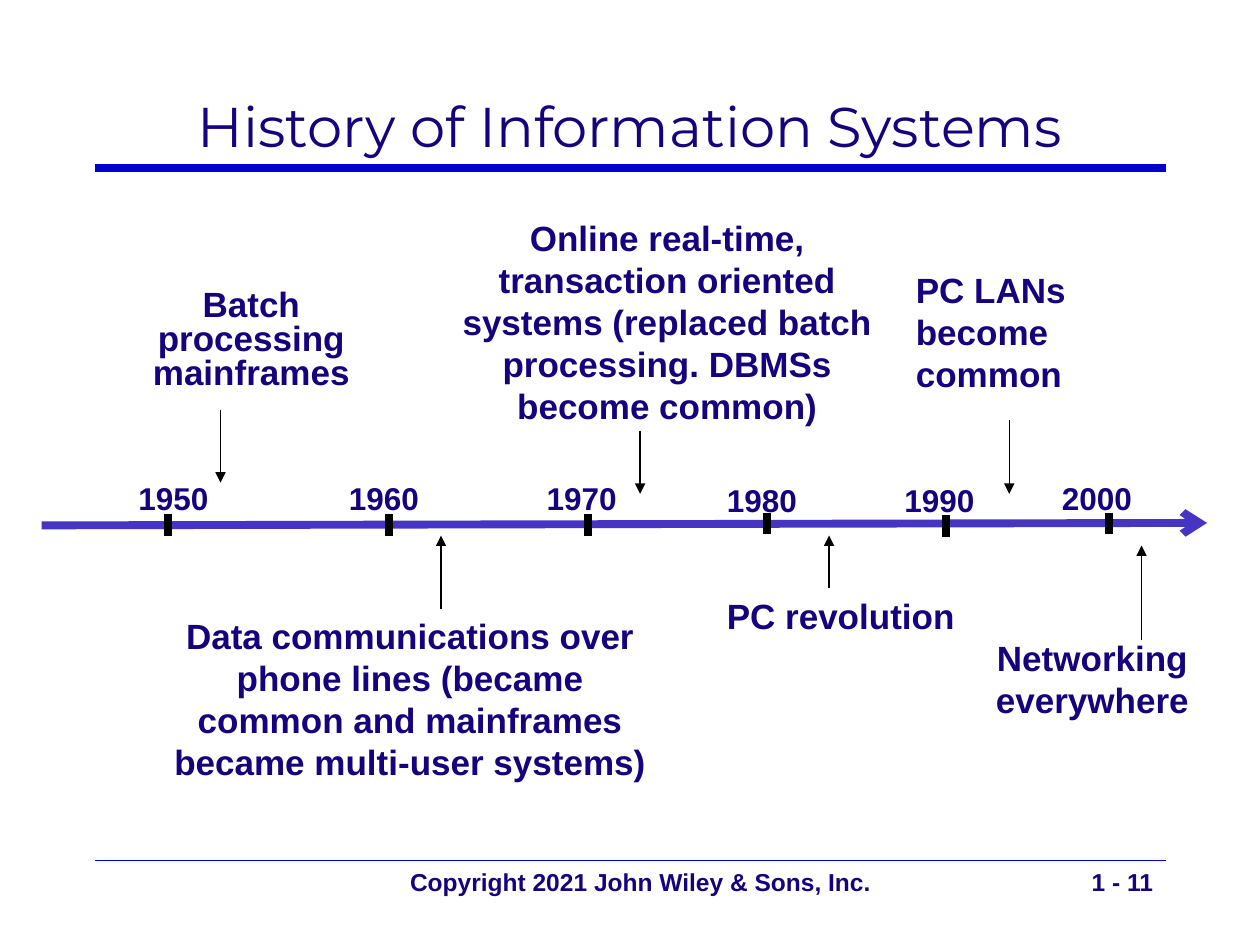
from lxml import etree
from pptx import Presentation
from pptx.dml.color import RGBColor
from pptx.enum.shapes import MSO_CONNECTOR
from pptx.enum.text import MSO_ANCHOR, PP_ALIGN
from pptx.oxml.ns import qn
from pptx.util import Pt

SCALE = 9144  # EMU per px, at 100 px to the inch
COLORS = {"text": "16027C", "rule": "0000CC", "axis": "4635C3", "mark": "000000"}

# Year, label left, label top, tick x, tick top
YEARS = [
    ("1950", 100, 375, 133, 408),
    ("1960", 267, 375, 309, 408),
    ("1970", 424, 375, 467, 408),
    ("1980", 567, 377, 609, 407),
    ("1990", 708, 377, 751, 409),
    ("2000", 833, 375, 880, 407),
]

# Text, box, arrow x, arrow start, arrow end, format
EVENTS = [
    ("Batch processing mainframes", (83, 226, 233, 90), 175, 325, 383,
     {"line_spacing": 0.8}),
    ("Data communications over phone lines (became common and mainframes "
     "became multi-user systems)", (117, 483, 417, 143), 350, 483, 425, {}),
    ("Online real-time, transaction oriented systems (replaced batch "
     "processing. DBMSs become common)", (342, 167, 375, 177), 508, 342, 392, {}),
    ("PC revolution", (567, 467, 217, 43), 658, 467, 425,
     {"align": PP_ALIGN.LEFT}),
    ("PC LANs become common", (717, 208, 192, 110), 801, 333, 392,
     {"align": PP_ALIGN.LEFT}),
    ("Networking everywhere", (764, 500, 206, 77), 906, 508, 433, {}),
]


def px(value):
    return value * SCALE


def add_text(page, text, box, size=20, font="Arial", bold=True,
             align=PP_ALIGN.CENTER, anchor=MSO_ANCHOR.TOP, wrap=True,
             line_spacing=None):
    frame = page.shapes.add_textbox(*map(px, box)).text_frame
    frame.word_wrap = wrap
    frame.vertical_anchor = anchor
    para = frame.paragraphs[0]
    para.alignment = align
    if line_spacing:
        para.line_spacing = line_spacing
    span = para.add_run()
    span.text = text
    span.font.name = font
    span.font.size = Pt(size)
    span.font.bold = bold
    span.font.color.rgb = RGBColor.from_string(COLORS["text"])


def add_line(page, start, end, color, width, head=None):
    line = page.shapes.add_connector(
        MSO_CONNECTOR.STRAIGHT, *map(px, start + end))
    line.line.color.rgb = RGBColor.from_string(COLORS[color])
    line.line.width = Pt(width)
    if head:
        etree.SubElement(line.line._get_or_add_ln(), qn("a:tailEnd"), type=head)
    etree.SubElement(line._element.spPr, qn("a:effectLst"))


def add_year(page, year, left, top, tick_x, tick_top):
    add_text(page, year, (left, top, 76, 40), size=18,
             align=PP_ALIGN.LEFT, wrap=False)
    add_line(page, (tick_x, tick_top), (tick_x, tick_top + 17), "mark", 4.5)


def add_event(page, text, box, arrow_x, start, end, style):
    add_text(page, text, box, **style)
    add_line(page, (arrow_x, start), (arrow_x, end), "mark", 0.75, "triangle")


def main():
    deck = Presentation()
    deck.slide_width, deck.slide_height = px(1000), px(750)
    page = deck.slides.add_slide(deck.slide_layouts[6])

    # Title and footer with their rules
    add_line(page, (75, 133), (925, 133), "rule", 4.5)
    add_line(page, (75, 683), (925, 683), "rule", 1)
    add_text(page, "History of Information Systems", (75, 58, 850, 83),
             size=32, font="Montserrat", bold=False, anchor=MSO_ANCHOR.MIDDLE)
    add_text(page, "Copyright 2021 John Wiley & Sons, Inc.",
             (300, 683, 417, 50), size=14)
    add_text(page, "1 - 11", (717, 683, 208, 50), size=14,
             align=PP_ALIGN.RIGHT)

    # Time axis with its years
    add_line(page, (33, 417), (958, 415), "axis", 4.5, "arrow")
    for year in YEARS:
        add_year(page, *year)

    # Events above and below the axis
    for event in EVENTS:
        add_event(page, *event)

    deck.save("out.pptx")


if __name__ == "__main__":
    main()
